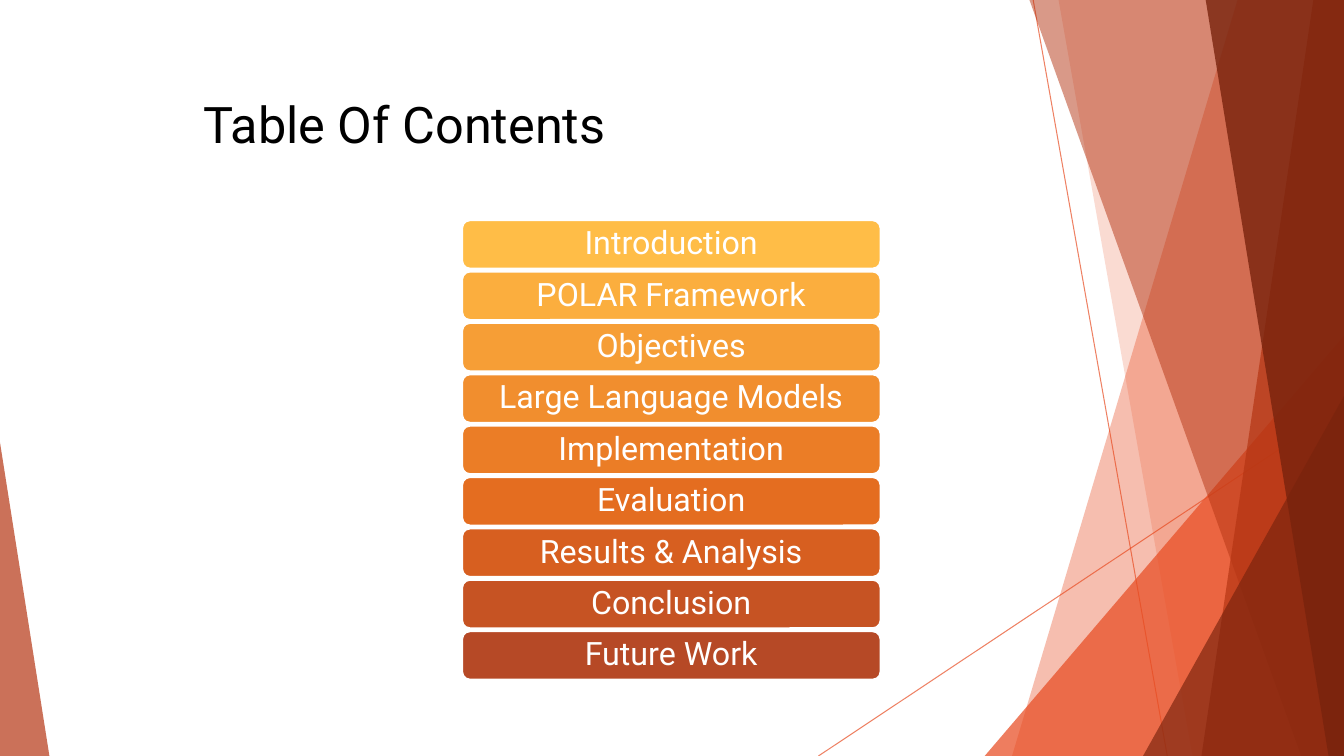
import pptx
import pptx.dml.color
import pptx.enum.shapes
import pptx.enum.text
import pptx.oxml.ns
import pptx.oxml.xmlchemy
import pptx.util

Pt = pptx.util.Pt
RGBColor = pptx.dml.color.RGBColor
OxmlElement = pptx.oxml.xmlchemy.OxmlElement
MSO_SHAPE = pptx.enum.shapes.MSO_SHAPE
MSO_CONNECTOR = pptx.enum.shapes.MSO_CONNECTOR
MSO_ANCHOR = pptx.enum.text.MSO_ANCHOR
PP_ALIGN = pptx.enum.text.PP_ALIGN

BLACK = RGBColor(0x00, 0x00, 0x00)
WHITE = RGBColor(0xFF, 0xFF, 0xFF)
ORANGE = RGBColor(0xE8, 0x4C, 0x22)
RUST = RGBColor(0xB5, 0x35, 0x13)
MAROON = RGBColor(0x78, 0x23, 0x0D)

SLIDE_WIDTH, SLIDE_HEIGHT = 960, 540
BAND_TOP = -0.7

CONTENTS = [
    ("Introduction", RGBColor(0xFF, 0xBD, 0x47)),
    ("POLAR Framework", RGBColor(0xFB, 0xAE, 0x3E)),
    ("Objectives", RGBColor(0xF6, 0x9E, 0x36)),
    ("Large Language Models", RGBColor(0xF1, 0x8E, 0x2E)),
    ("Implementation", RGBColor(0xEB, 0x7D, 0x26)),
    ("Evaluation", RGBColor(0xE4, 0x6D, 0x20)),
    ("Results & Analysis", RGBColor(0xD7, 0x5F, 0x20)),
    ("Conclusion", RGBColor(0xC6, 0x53, 0x23)),
    ("Future Work", RGBColor(0xB6, 0x49, 0x26)),
]
BAR_LEFT, BAR_TOP, BAR_WIDTH, BAR_HEIGHT = 329.8, 157, 299.5, 35.2
BAR_PITCH = 36.7

TITLE_FONT = {"name": "Roboto", "size": Pt(36), "bold": False}
BAR_FONT = {"name": "Roboto", "size": Pt(23), "bold": False}
TITLE_BOX = {"left": Pt(138.2), "top": Pt(62.6), "width": Pt(683.3), "height": Pt(82.8)}
TITLE_FRAME = {"vertical_anchor": MSO_ANCHOR.TOP, "word_wrap": True}
BAR_FRAME = {"vertical_anchor": MSO_ANCHOR.MIDDLE, "word_wrap": True}
TITLE_PARAGRAPH = {"alignment": PP_ALIGN.LEFT}
BAR_PARAGRAPH = {"alignment": PP_ALIGN.CENTER, "line_spacing": 0.9}


def apply_format(target, values):
    for name, value in values.items():
        setattr(target, name, value)


def write_text(shape, text, frame_format, paragraph_format, font_format, color):
    frame = shape.text_frame
    frame.text = text
    apply_format(frame, frame_format)
    paragraph = frame.paragraphs[0]
    apply_format(paragraph, paragraph_format)
    font = paragraph.runs[0].font
    apply_format(font, font_format)
    font.color.rgb = color


def set_opacity(shape, percent):
    color = next(shape._element.spPr.iter(pptx.oxml.ns.qn("a:srgbClr")))
    alpha = OxmlElement("a:alpha")
    alpha.set("val", str(percent * 1000))
    color.append(alpha)


def fill_translucent(shape, color, opacity):
    shape.shadow.inherit = False
    shape.fill.solid()
    shape.fill.fore_color.rgb = color
    shape.line.fill.background()
    set_opacity(shape, opacity)


def add_thin_line(slide, *ends):
    line = slide.shapes.add_connector(MSO_CONNECTOR.STRAIGHT, *map(Pt, ends))
    line.line.color.rgb = ORANGE
    line.line.width = Pt(0.75)
    set_opacity(line, 70)
    line._element.spPr.append(OxmlElement("a:effectLst"))


def add_band(slide, top_x, bottom_x, color, opacity):
    builder = slide.shapes.build_freeform(Pt(top_x), Pt(BAND_TOP))
    corners = [(SLIDE_WIDTH, BAND_TOP), (SLIDE_WIDTH, SLIDE_HEIGHT), (bottom_x, SLIDE_HEIGHT)]
    builder.add_line_segments([(Pt(x), Pt(y)) for x, y in corners])
    fill_translucent(builder.convert_to_shape(), color, opacity)


def add_triangle(slide, left, top, width, apex, color, opacity):
    box = map(Pt, (left, top, width, SLIDE_HEIGHT - top))
    shape = slide.shapes.add_shape(MSO_SHAPE.ISOSCELES_TRIANGLE, *box)
    shape.adjustments[0] = apex
    fill_translucent(shape, color, opacity)


def add_decoration(slide):
    add_thin_line(slide, 738, 0, 833.8, SLIDE_HEIGHT)
    add_thin_line(slide, SLIDE_WIDTH, 290.2, 584.6, SLIDE_HEIGHT)
    add_band(slide, 884.2, 722.9, ORANGE, 36)
    add_band(slide, 756, 851.8, ORANGE, 20)
    add_triangle(slide, 703.4, 239.8, 256.6, 1, ORANGE, 72)
    add_band(slide, 735.1, 929.5, RUST, 50)
    add_band(slide, 938.2, 858.2, RUST, 70)
    add_band(slide, 861.1, 949, MAROON, 80)
    add_triangle(slide, 816.5, 283, 143.5, 1, MAROON, 66)
    add_triangle(slide, 0, 316.1, 35.3, 0, RUST, 70)


def place_title(slide, text):
    title = slide.shapes.title
    apply_format(title, TITLE_BOX)
    write_text(title, text, TITLE_FRAME, TITLE_PARAGRAPH, TITLE_FONT, BLACK)
    slide.shapes._spTree.append(title._element)


def add_bar(slide, index, text, color):
    box = map(Pt, (BAR_LEFT, BAR_TOP + index * BAR_PITCH, BAR_WIDTH, BAR_HEIGHT))
    bar = slide.shapes.add_shape(MSO_SHAPE.ROUNDED_RECTANGLE, *box)
    bar.shadow.inherit = False
    bar.fill.solid()
    bar.fill.fore_color.rgb = color
    bar.line.color.rgb = WHITE
    bar.line.width = Pt(2)
    write_text(bar, text, BAR_FRAME, BAR_PARAGRAPH, BAR_FONT, WHITE)


def main():
    presentation = pptx.Presentation()
    presentation.slide_width = Pt(SLIDE_WIDTH)
    presentation.slide_height = Pt(SLIDE_HEIGHT)
    slide = presentation.slides.add_slide(presentation.slide_layouts.get_by_name("Title Only"))
    add_decoration(slide)
    place_title(slide, "Table Of Contents")
    for index, (text, color) in enumerate(CONTENTS):
        add_bar(slide, index, text, color)
    presentation.save("out.pptx")


if __name__ == "__main__":
    main()
